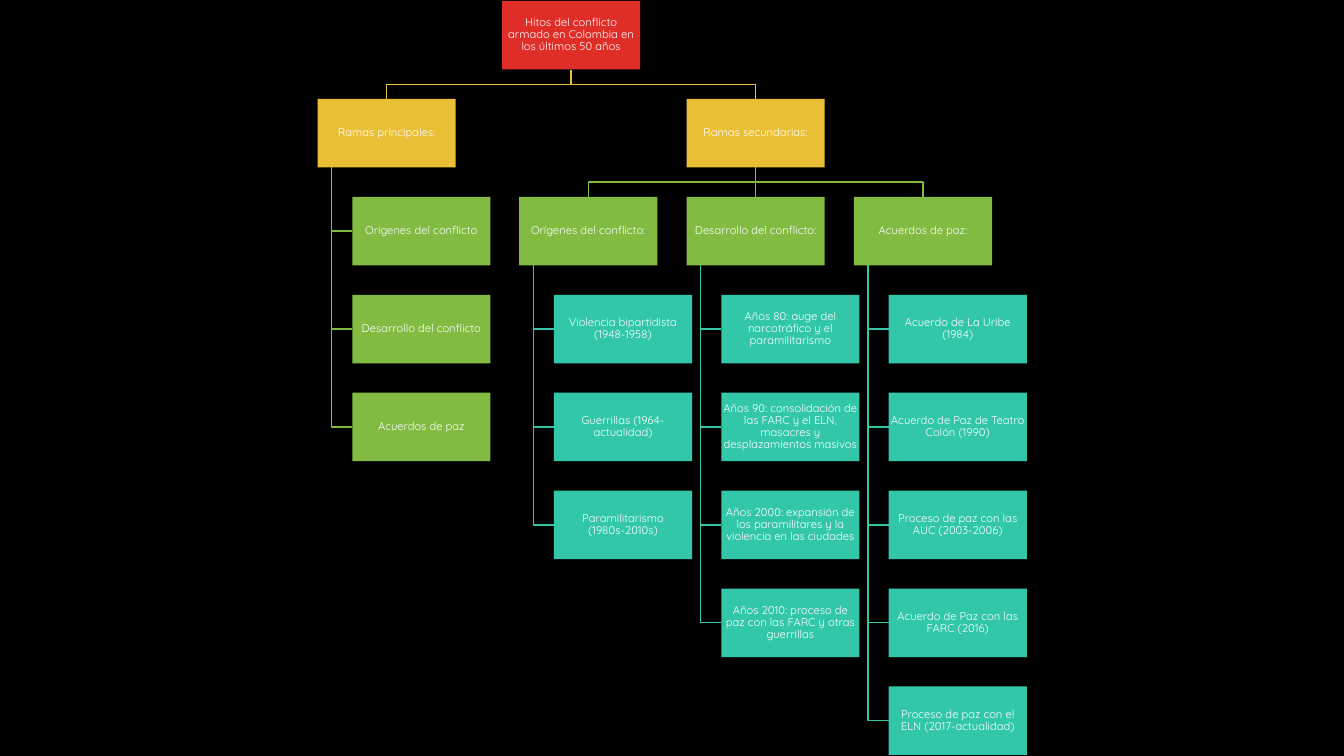
from dataclasses import dataclass, field

import pptx
import pptx.dml.color
import pptx.enum.shapes
import pptx.enum.text
import pptx.oxml.ns
import pptx.util
from lxml import etree

Inches = pptx.util.Inches
Pt = pptx.util.Pt
RGBColor = pptx.dml.color.RGBColor

BLACK = RGBColor(0x00, 0x00, 0x00)
WHITE = RGBColor(0xFF, 0xFF, 0xFF)
RED = RGBColor(0xDF, 0x2E, 0x28)
YELLOW = RGBColor(0xE9, 0xBF, 0x35)
GREEN = RGBColor(0x81, 0xBB, 0x42)
TEAL = RGBColor(0x32, 0xC7, 0xA9)
LEVEL_COLORS = [RED, YELLOW, GREEN, TEAL]

BOX_W, BOX_H = 1.37, 0.68
TOP = 0.01
ROW_STEP = 6.8 / 7
LEAF_INDENT = 0.345
TRUNK_INDENT = 0.14


@dataclass
class Node:
    text: str
    left: float
    level: int = 0
    row: int = 0
    children: list = field(default_factory=list)

    @property
    def top(self):
        return TOP + self.row * ROW_STEP

    @property
    def bottom(self):
        return self.top + BOX_H

    @property
    def center(self):
        return self.left + BOX_W / 2

    def add(self, text, left):
        """Add a child centred in the next row."""
        child = Node(text, left, self.level + 1, self.row + 1)
        self.children.append(child)
        return child

    def hang(self, *texts):
        """Add indented leaves, one under the other."""
        for i, text in enumerate(texts, 1):
            self.children.append(Node(text, self.left + LEAF_INDENT,
                                      self.level + 1, self.row + i))


class TreeSlide:
    font = "Quicksand"
    size = Pt(8)
    line_width = Pt(1)

    def __init__(self, prs):
        self.slide = prs.slides.add_slide(prs.slide_layouts[6])
        fill = self.slide.background.fill
        fill.solid()
        fill.fore_color.rgb = BLACK

    def box(self, node):
        sp = self.slide.shapes.add_shape(
            pptx.enum.shapes.MSO_SHAPE.RECTANGLE, Inches(node.left),
            Inches(node.top), Inches(BOX_W), Inches(BOX_H))
        sp.shadow.inherit = False
        sp.fill.solid()
        sp.fill.fore_color.rgb = LEVEL_COLORS[node.level]
        sp.line.fill.background()
        tf = sp.text_frame
        tf.word_wrap = True
        tf.vertical_anchor = pptx.enum.text.MSO_ANCHOR.MIDDLE
        tf.margin_left = tf.margin_right = Inches(0.01)
        tf.margin_top = tf.margin_bottom = Inches(0.01)
        tf.text = node.text
        p = tf.paragraphs[0]
        p.alignment = pptx.enum.text.PP_ALIGN.CENTER
        p.line_spacing = 0.9
        p.space_after = Pt(2.8)
        font = p.runs[0].font
        font.name, font.size = self.font, self.size
        font.color.rgb = WHITE

    def straight(self, start, end, color):
        cxn = self.slide.shapes.add_connector(
            pptx.enum.shapes.MSO_CONNECTOR.STRAIGHT,
            *(Inches(v) for v in start + end))
        cxn.line.color.rgb = color
        cxn.line.width = self.line_width
        etree.SubElement(cxn._element.spPr, pptx.oxml.ns.qn("a:effectLst"))

    def elbow(self, points, color):
        (x, y), *rest = [(Inches(x), Inches(y)) for x, y in points]
        builder = self.slide.shapes.build_freeform(x, y)
        builder.add_line_segments(rest, close=False)
        sp = builder.convert_to_shape()
        sp.shadow.inherit = False
        sp.fill.background()
        sp.line.color.rgb = color
        sp.line.width = self.line_width

    def link(self, parent, child):
        color = LEVEL_COLORS[child.level]
        start, end = (parent.center, parent.bottom), (child.center, child.top)
        if not child.children:
            x, y = parent.left + TRUNK_INDENT, child.top + BOX_H / 2
            self.elbow([(x, parent.bottom), (x, y), (child.left, y)], color)
        elif child.left == parent.left:
            self.straight(start, end, color)
        else:
            y = (parent.bottom + child.top) / 2
            self.elbow([start, (parent.center, y), (child.center, y), end], color)

    def links(self, node):
        for child in reversed(node.children):
            self.links(child)
            self.link(node, child)

    def boxes(self, node):
        self.box(node)
        for child in node.children:
            self.boxes(child)


def conflict_tree():
    root = Node("Hitos del conflicto armado en Colombia en los últimos 50 años", 4.98)
    root.add("Ramas principales:", 3.15).hang(
        "Orígenes del conflicto", "Desarrollo del conflicto", "Acuerdos de paz")
    secondary = root.add("Ramas secundarias:", 6.81)
    secondary.add("Orígenes del conflicto:", 5.15).hang(
        "Violencia bipartidista (1948-1958)",
        "Guerrillas (1964-actualidad)",
        "Paramilitarismo (1980s-2010s)")
    secondary.add("Desarrollo del conflicto:", 6.81).hang(
        "Años 80: auge del narcotráfico y el paramilitarismo",
        "Años 90: consolidación de las FARC y el ELN, masacres y "
        "desplazamientos masivos",
        "Años 2000: expansión de los paramilitares y la violencia en las ciudades",
        "Años 2010: proceso de paz con las FARC y otras guerrillas")
    secondary.add("Acuerdos de paz:", 8.47).hang(
        "Acuerdo de La Uribe (1984)",
        "Acuerdo de Paz de Teatro Colón (1990)",
        "Proceso de paz con las AUC (2003-2006)",
        "Acuerdo de Paz con las FARC (2016)",
        "Proceso de paz con el ELN (2017-actualidad)")
    return root


def main():
    prs = pptx.Presentation()
    prs.slide_width, prs.slide_height = Inches(13.33), Inches(7.5)
    s = TreeSlide(prs)
    root = conflict_tree()
    s.links(root)
    s.boxes(root)
    prs.save("out.pptx")


if __name__ == "__main__":
    main()
